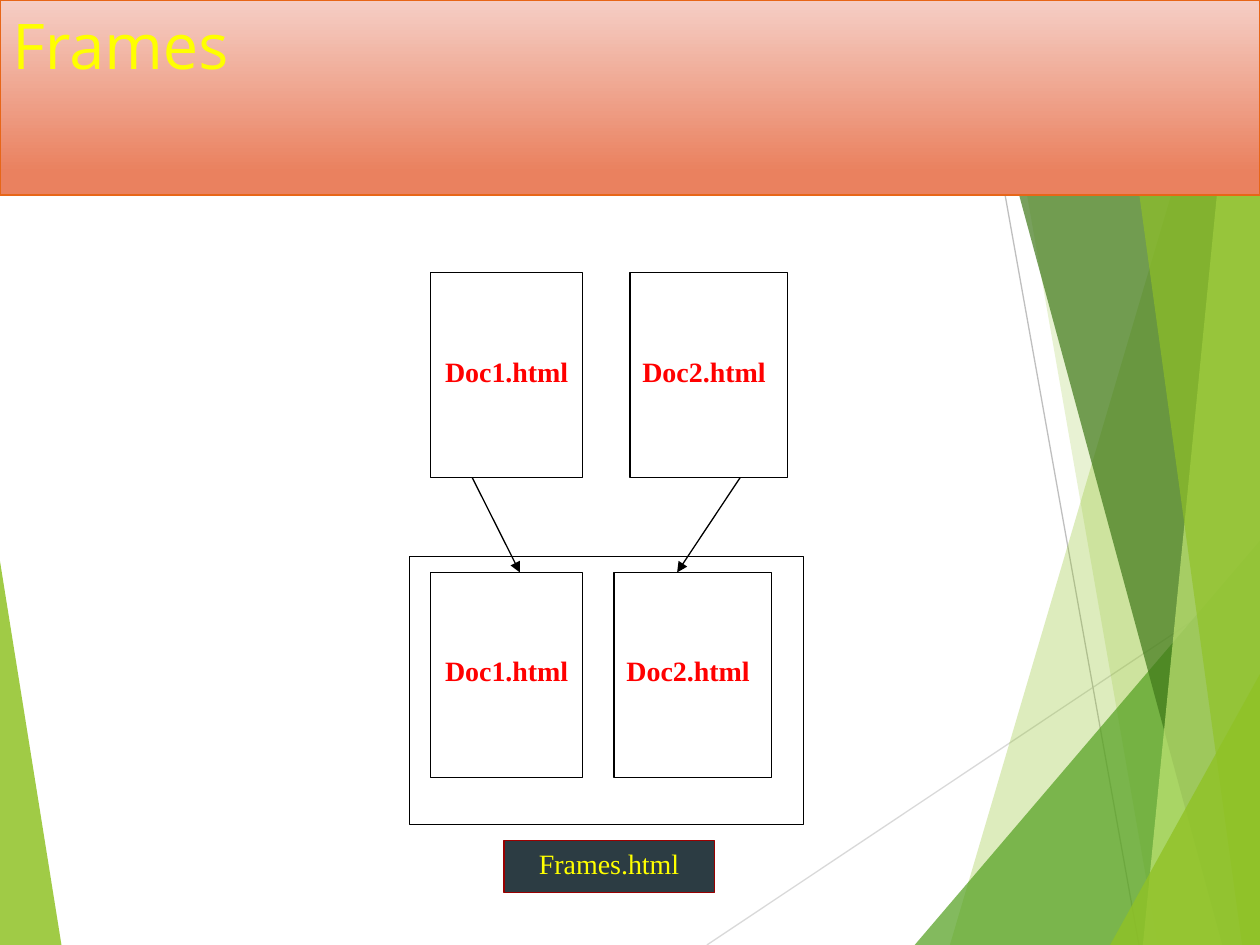
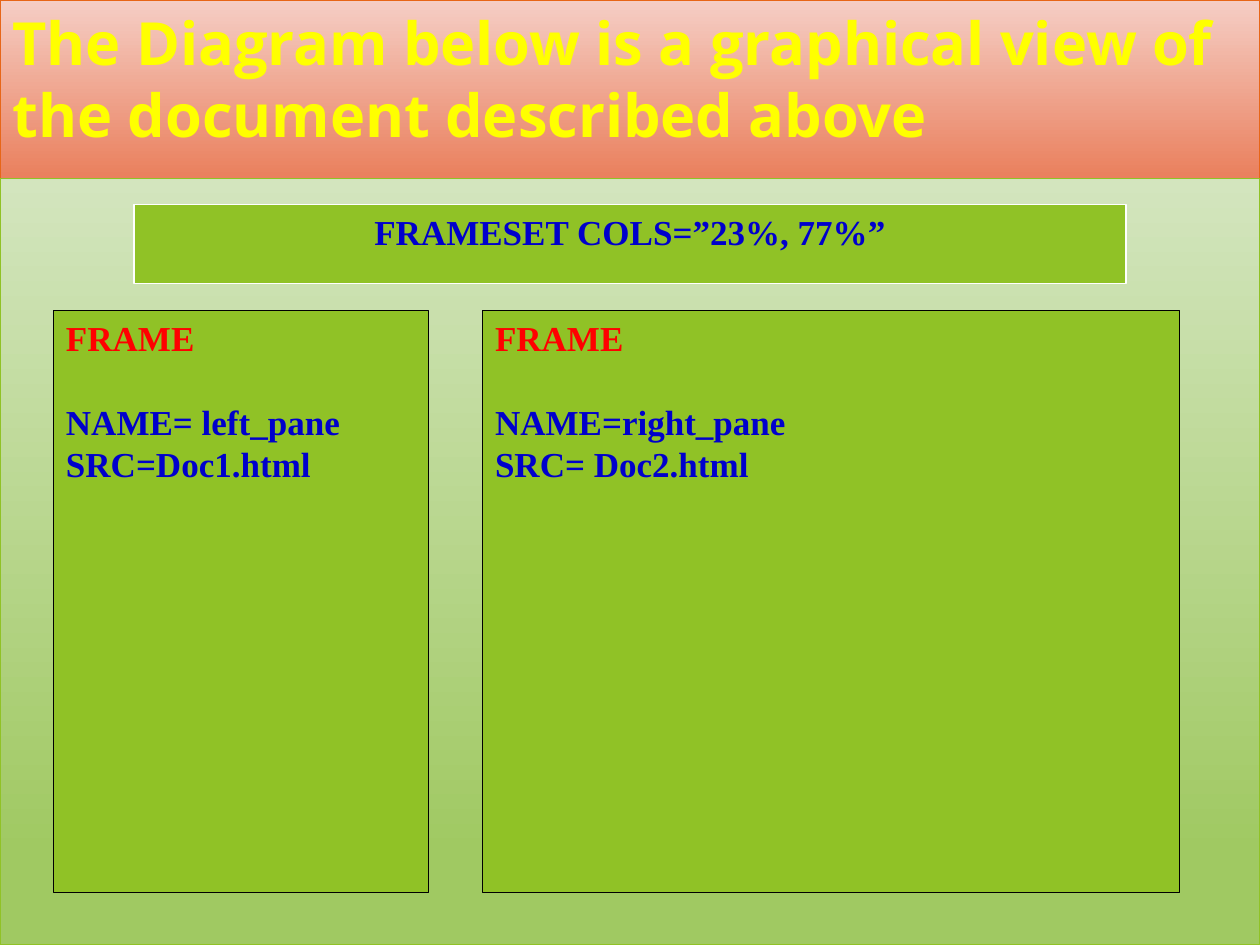
"""Build two slides that explain HTML frames with a page diagram and a frameset view."""
from dataclasses import dataclass

from lxml.etree import SubElement
from pptx import Presentation
from pptx.dml.color import RGBColor
from pptx.enum.shapes import MSO_CONNECTOR as Connector, MSO_SHAPE as Preset
from pptx.enum.text import MSO_ANCHOR as Anchor, PP_ALIGN as Align
from pptx.oxml.ns import qn
from pptx.util import Cm, Pt


@dataclass(frozen=True)
class Theme:
    title_font: str = "Open Sans"
    body_font: str = "Times New Roman"
    black: str = "000000"
    white: str = "FFFFFF"
    yellow: str = "FFFF00"
    red: str = "FF0000"
    blue: str = "0000CC"
    lime: str = "90C226"
    green: str = "54A021"
    forest: str = "3F7819"
    pale: str = "C0E474"
    slate: str = "2C3C43"
    maroon: str = "990000"
    orange: str = "E76618"
    light_gray: str = "D9D9D9"
    gray: str = "BFBFBF"
    band: tuple = ("F5CEC5", "EA815F")
    panel: tuple = ("D3E5BE", "A0C962")
    label_size: int = 16
    frame_size: int = 20
    hairline: float = 0.75
    outline: float = 1


THEME = Theme()
WIDTH, HEIGHT = 25.4, 19.05

TITLES = [
    {"text": "Frames", "size": 36, "bold": False, "height": 3.94},
    {"text": "The Diagram below is a graphical view of the document described above",
     "size": 34, "bold": True, "height": 4.01},
]

RAYS = [
    (14.25, HEIGHT, WIDTH, 11.61, THEME.light_gray),
    (19.56, 0, 22.96, HEIGHT, THEME.gray),
]
LEFT_FACET = ([(0, 11.31), (1.24, HEIGHT), (0, HEIGHT)], THEME.lime, 85)
RIGHT_FACETS = [
    (24.77, 0, 19.15, THEME.lime, 30),
    (20.02, 0, 23.34, THEME.lime, 20),
    (WIDTH, 10.9, 18.44, THEME.green, 72),
    (19.48, 0, 24.64, THEME.forest, 70),
    (24.92, 0, 23.04, THEME.pale, 70),
    (22.43, 0, 25.04, THEME.lime, 65),
    (WIDTH, 13.59, 22.38, THEME.lime, 80),
]

PAGE_HEIGHT = 4.13
SOURCE_TOP, FRAME_TOP = 5.5, 11.54
PAGES = [
    {"text": "Doc1.html", "lefts": (8.68, 8.68), "width": 3.07,
     "align": Align.CENTER, "arrow": (9.52, 10.48)},
    {"text": "Doc2.html", "lefts": (12.7, 12.38), "width": 3.18,
     "align": Align.LEFT, "arrow": (14.92, 13.65)},
]
FRAMES_PAGE = (8.26, 11.22, 7.94, 5.4)
FRAMES_LABEL = ("Frames.html", (10.16, 16.94, 4.24, 1.06))

PANEL = (0, 3.6, WIDTH, 15.45)
FRAMESET = ("FRAMESET COLS=”23%, 77%”", (2.7, 4.12, 20, 1.6))
PANES = [
    (1.08, 7.56, ["FRAME", "NAME= left_pane", "SRC=Doc1.html"]),
    (9.73, 14.05, ["FRAME", "NAME=right_pane", "SRC= Doc2.html"]),
]
PANE_TOP, PANE_HEIGHT = 6.26, 11.73


def color(code):
    return RGBColor.from_string(code)


def add_box(slide, place, fill, line, width=THEME.hairline):
    shape = slide.shapes.add_shape(Preset.RECTANGLE, *map(Cm, place))
    shape.shadow.inherit = False
    if isinstance(fill, tuple):
        shape.fill.gradient()
        shape.fill.gradient_angle = 270
        for stop, code, position in zip(shape.fill.gradient_stops, fill, (0, 0.88)):
            stop.color.rgb = color(code)
            stop.position = position
    else:
        shape.fill.solid()
        shape.fill.fore_color.rgb = color(fill)
    shape.line.color.rgb = color(line)
    shape.line.width = Pt(width)
    return shape


def write(shape, lines, size, colors, bold=True, align=Align.LEFT,
          font=THEME.body_font):
    frame = shape.text_frame
    frame.text = "\n".join(lines)
    frame.word_wrap = True
    frame.vertical_anchor = Anchor.TOP
    for paragraph, code in zip(frame.paragraphs, colors):
        paragraph.alignment = align
        for run in paragraph.runs:
            run.font.name = font
            run.font.size = Pt(size)
            run.font.bold = bold
            run.font.color.rgb = color(code)
    return frame


def add_line(slide, ends, code, arrow=False):
    connector = slide.shapes.add_connector(Connector.STRAIGHT, *map(Cm, ends))
    connector.line.color.rgb = color(code)
    connector.line.width = Pt(THEME.hairline)
    properties = connector.element.spPr
    if arrow:
        SubElement(properties.find(qn("a:ln")), qn("a:tailEnd"), type="triangle")
    SubElement(properties, qn("a:effectLst"))


def add_facet(slide, points, code, opacity):
    start, *others = [(Cm(x), Cm(y)) for x, y in points]
    builder = slide.shapes.build_freeform(*start)
    builder.add_line_segments(others, close=True)
    shape = builder.convert_to_shape()
    shape.shadow.inherit = False
    shape.fill.solid()
    shape.fill.fore_color.rgb = color(code)
    shape.line.fill.background()
    tint = shape.element.spPr.find(qn("a:solidFill")).find(qn("a:srgbClr"))
    SubElement(tint, qn("a:alpha"), val=str(opacity * 1000))


def add_backdrop(slide):
    add_facet(slide, *LEFT_FACET)
    for *ends, code in RAYS:
        add_line(slide, ends, code)
    for x, top, foot, code, opacity in RIGHT_FACETS:
        points = [(x, top), (foot, HEIGHT), (WIDTH, HEIGHT)]
        if x < WIDTH:
            points.append((WIDTH, top))
        add_facet(slide, points, code, opacity)


def move_to_layout(slide, layout):
    for placeholder in list(layout.placeholders):
        layout.shapes.element.remove(placeholder.element)
    for shape in list(slide.shapes):
        layout.shapes.element.append(shape.element)


def add_title(slide, title):
    place = (0, 0, WIDTH, title["height"])
    band = add_box(slide, place, THEME.band, THEME.orange, THEME.outline)
    write(band, [title["text"]], title["size"], [THEME.yellow],
          title["bold"], font=THEME.title_font)


def add_pages(slide):
    add_box(slide, FRAMES_PAGE, THEME.white, THEME.black)
    for page in PAGES:
        for left, top in zip(page["lefts"], (SOURCE_TOP, FRAME_TOP)):
            place = (left, top, page["width"], PAGE_HEIGHT)
            shape = add_box(slide, place, THEME.white, THEME.black)
            frame = write(shape, [page["text"]], THEME.label_size, [THEME.red],
                          align=page["align"])
            frame.margin_top = Cm(1.64)
    text, place = FRAMES_LABEL
    label = add_box(slide, place, THEME.slate, THEME.maroon)
    write(label, [text], THEME.label_size, [THEME.yellow], False, Align.CENTER)
    for page in PAGES:
        start, end = page["arrow"]
        add_line(slide, (start, SOURCE_TOP + PAGE_HEIGHT, end, FRAME_TOP),
                 THEME.black, arrow=True)


def add_frameset(slide):
    add_box(slide, PANEL, THEME.panel, THEME.lime, THEME.outline)
    text, place = FRAMESET
    header = add_box(slide, place, THEME.lime, THEME.white)
    write(header, [text], THEME.frame_size, [THEME.blue], align=Align.CENTER)
    for left, width, lines in PANES:
        place = (left, PANE_TOP, width, PANE_HEIGHT)
        pane = add_box(slide, place, THEME.lime, THEME.black)
        frame = write(pane, lines, THEME.frame_size,
                      [THEME.red, THEME.blue, THEME.blue])
        frame.paragraphs[1].space_before = Pt(24)


def main():
    presentation = Presentation()
    presentation.slide_width, presentation.slide_height = Cm(WIDTH), Cm(HEIGHT)
    blank = presentation.slide_layouts[6]
    diagram, view = [presentation.slides.add_slide(blank) for _ in TITLES]
    add_backdrop(diagram)
    move_to_layout(diagram, blank)
    for slide, title in zip((diagram, view), TITLES):
        add_title(slide, title)
    add_pages(diagram)
    add_frameset(view)
    presentation.save("out.pptx")


main()
